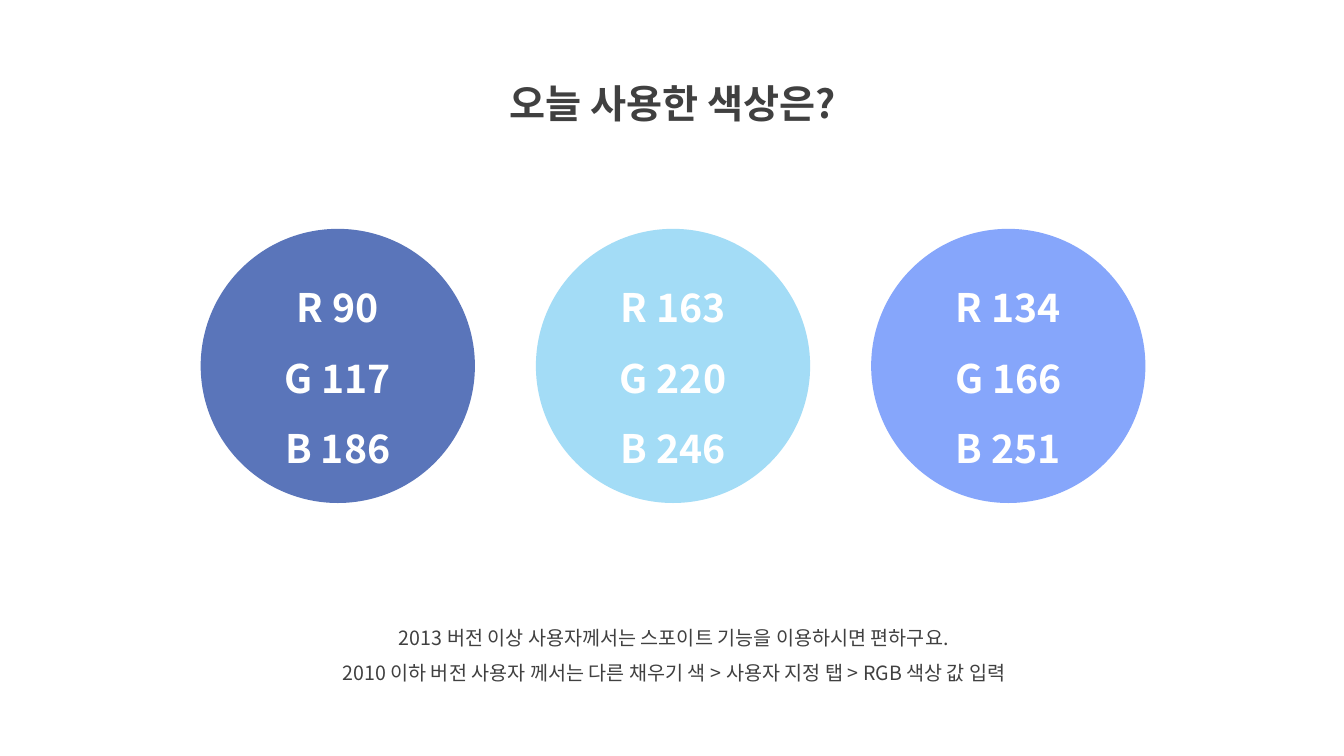
from lxml import etree
from pptx import Presentation
from pptx.dml.color import RGBColor
from pptx.enum.shapes import MSO_SHAPE
from pptx.enum.text import MSO_ANCHOR, MSO_AUTO_SIZE, PP_ALIGN
from pptx.oxml.ns import qn
from pptx.util import Inches, Pt

FONT = "Noto Sans CJK KR"
DARK_GRAY = "404040"
WHITE = "FFFFFF"
CIRCLE_SIZE = 2.72
CIRCLE_LEFT = 1.99
CIRCLE_TOP = 2.27
CIRCLE_STEP = 3.325
COLORS = [(90, 117, 186), (163, 220, 246), (134, 166, 251)]


def color(hex_string):
    """Turn an RRGGBB string into a colour."""
    return RGBColor.from_string(hex_string)


def write_lines(shape, lines, size, hex_string, bold, anchor):
    """Write centred lines, one paragraph each, into a shape."""
    text_frame = shape.text_frame
    text_frame.word_wrap = True
    text_frame.vertical_anchor = anchor
    for index, line in enumerate(lines):
        paragraph = text_frame.add_paragraph() if index else text_frame.paragraphs[0]
        paragraph.alignment = PP_ALIGN.CENTER
        paragraph.line_spacing = 1.5
        run = paragraph.add_run()
        run.text = line
        run.font.name = FONT
        run.font.size = Pt(size)
        run.font.bold = bold
        run.font.color.rgb = color(hex_string)
        # Korean glyphs take the East Asian typeface
        east_asian = etree.SubElement(run._r.get_or_add_rPr(), qn("a:ea"))
        east_asian.set("typeface", FONT)


presentation = Presentation()
presentation.slide_width = Inches(13.33)
presentation.slide_height = Inches(7.5)
slide = presentation.slides.add_slide(presentation.slide_layouts[5])

# Title
title = slide.shapes.title
title.left, title.top = Inches(4.36), Inches(0.5)
title.width, title.height = Inches(4.63), Inches(0.72)
write_lines(title, ["오늘 사용한 색상은?"], 28, DARK_GRAY, True, MSO_ANCHOR.TOP)
title.text_frame.auto_size = MSO_AUTO_SIZE.SHAPE_TO_FIT_TEXT

# Usage tips
tips = slide.shapes.add_textbox(Inches(2.69), Inches(6.04), Inches(7.99), Inches(0.81))
tip_lines = [
    "2013 버전 이상 사용자께서는 스포이트 기능을 이용하시면 편하구요.",
    "2010 이하 버전 사용자 께서는 다른 채우기 색 > 사용자 지정 탭 > RGB 색상 값 입력",
]
write_lines(tips, tip_lines, 14, DARK_GRAY, False, MSO_ANCHOR.TOP)
tips.text_frame.auto_size = MSO_AUTO_SIZE.SHAPE_TO_FIT_TEXT

# Colour circles, each filled with the values it lists
for index, (red, green, blue) in enumerate(COLORS):
    circle = slide.shapes.add_shape(
        MSO_SHAPE.OVAL,
        Inches(CIRCLE_LEFT + index * CIRCLE_STEP), Inches(CIRCLE_TOP),
        Inches(CIRCLE_SIZE), Inches(CIRCLE_SIZE),
    )
    circle.shadow.inherit = False
    circle.fill.solid()
    circle.fill.fore_color.rgb = color(f"{red:02X}{green:02X}{blue:02X}")
    circle.line.fill.background()
    values = [f"R {red}", f"G {green}", f"B {blue}"]
    write_lines(circle, values, 28, WHITE, True, MSO_ANCHOR.MIDDLE)

presentation.save("out.pptx")
